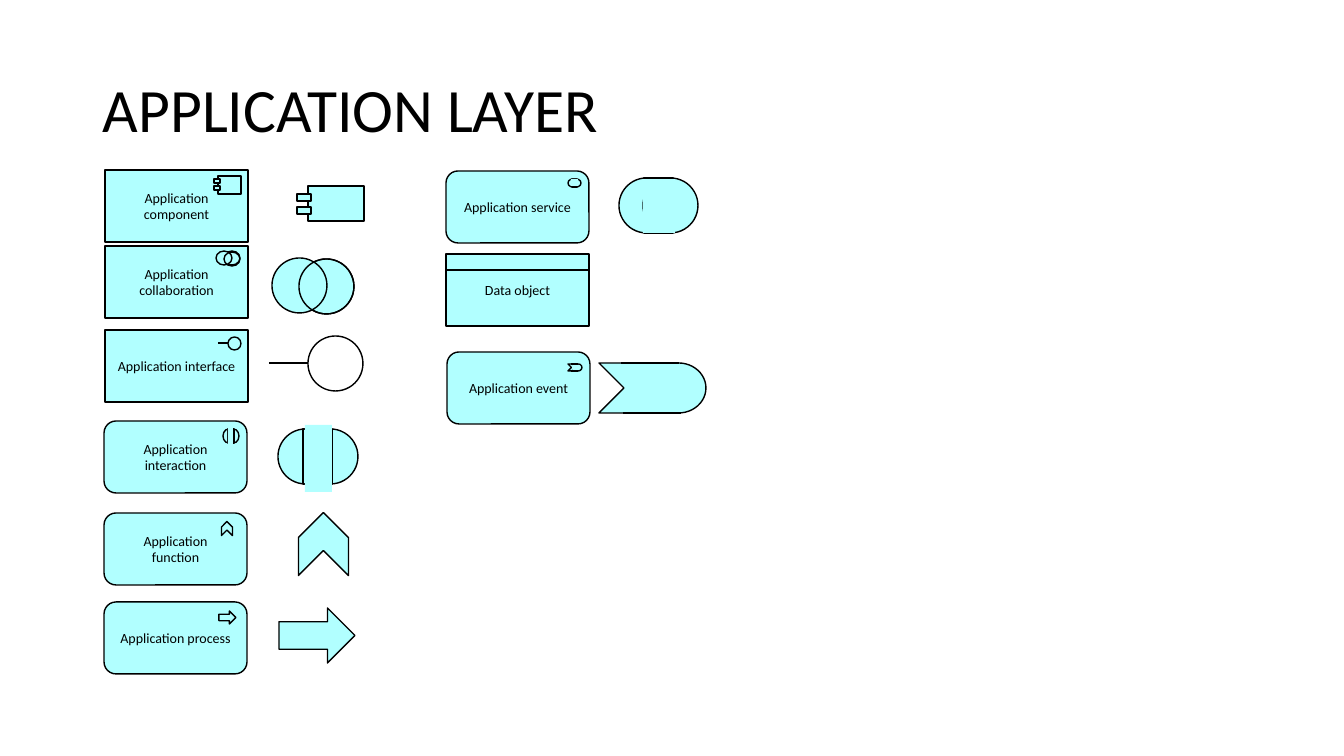
"""Build the application layer slide: labelled element boxes and their symbols."""
from lxml import etree
from pptx import Presentation
from pptx.dml.color import RGBColor
from pptx.enum.shapes import MSO_CONNECTOR, MSO_SHAPE
from pptx.enum.text import MSO_ANCHOR, PP_ALIGN
from pptx.oxml.ns import qn
from pptx.util import Pt

PX = 914400 / 100.8
AQUA = RGBColor(0xB1, 0xFF, 0xFF)
BLACK = RGBColor(0, 0, 0)
FONT = "Calibri"
RECT = MSO_SHAPE.RECTANGLE
ROUND = MSO_SHAPE.ROUNDED_RECTANGLE
OVAL = MSO_SHAPE.OVAL
ARROW = MSO_SHAPE.RIGHT_ARROW
CHEVRON = MSO_SHAPE.CHEVRON
STRAIGHT = MSO_CONNECTOR.STRAIGHT
MIDDLE = MSO_ANCHOR.MIDDLE
CENTER = PP_ALIGN.CENTER
SOLID, HOLLOW, COVER = "solid", "hollow", "cover"
BOX_WIDTH, BOX_HEIGHT, BOX_INSET = 143, 72, 12

ELEMENTS = [
    ("Application component", RECT, 105, 170),
    ("Application collaboration", RECT, 105, 246),
    ("Application interface", RECT, 105, 330),
    ("Application interaction", ROUND, 104, 421),
    ("Application function", ROUND, 104, 513),
    ("Application process", ROUND, 104, 602),
    ("Application service", ROUND, 446, 171),
    ("Data object", RECT, 446, 254),
    ("Application event", ROUND, 447, 352),
]

SYMBOLS = {
    "component": [
        (RECT, 308, 186, 56, 35, SOLID),
        (RECT, 297, 194, 14, 7, SOLID),
        (RECT, 297, 207, 14, 7, SOLID),
        (RECT, 218, 176, 23, 18, SOLID),
        (RECT, 214, 179, 6, 4, SOLID),
        (RECT, 214, 186, 6, 4, SOLID),
    ],
    "collaboration": [
        (OVAL, 299, 259, 55, 55, SOLID),
        (OVAL, 272, 258, 55, 55, SOLID),
        (OVAL, 299, 259, 55, 55, HOLLOW),
        (OVAL, 224, 251, 16, 14, SOLID),
        (OVAL, 216, 251, 16, 14, SOLID),
        (OVAL, 224, 252, 16, 14, HOLLOW),
    ],
    "interface": [
        (OVAL, 308, 336, 55, 55, HOLLOW),
        (OVAL, 228, 337, 13, 13, SOLID),
    ],
    "interaction": [
        (OVAL, 278, 429, 55, 55, SOLID),
        (OVAL, 303, 429, 55, 55, SOLID),
        (RECT, 303, 429, 29, 55, SOLID),
        (RECT, 305, 425, 27, 67, COVER),
        (OVAL, 223, 429, 11, 14, SOLID),
        (OVAL, 228, 429, 11, 14, SOLID),
        (RECT, 228, 429, 6, 14, SOLID),
        (RECT, 228, 428, 5, 17, COVER),
    ],
    "function": [
        (CHEVRON, 292, 519, 63, 50, SOLID),
        (CHEVRON, 220, 523, 14, 11, SOLID),
    ],
    "process": [
        (ARROW, 279, 608, 76, 55, SOLID),
        (ARROW, 219, 611, 17, 13, SOLID),
    ],
    "service": [
        (OVAL, 619, 178, 55, 55, SOLID),
        (OVAL, 643, 178, 55, 55, SOLID),
        (RECT, 644, 178, 29, 55, SOLID),
        (RECT, 643, 179, 32, 54, COVER),
        (OVAL, 568, 179, 9, 8, SOLID),
        (OVAL, 572, 179, 9, 8, SOLID),
        (RECT, 572, 179, 5, 8, SOLID),
        (RECT, 571, 179, 7, 7, COVER),
    ],
    "event": [
        (OVAL, 651, 363, 55, 50, SOLID),
        (CHEVRON, 599, 363, 63, 50, SOLID),
        (RECT, 636, 363, 40, 51, COVER),
        (OVAL, 575, 364, 7, 7, SOLID),
        (CHEVRON, 568, 364, 8, 7, SOLID),
        (RECT, 573, 364, 5, 7, COVER),
    ],
}

RULES = [
    (446, 589, 270),
    (269, 308, 363),
    (218, 228, 343),
    (621, 679, 363),
    (623, 681, 413),
    (571, 578, 364),
    (571, 578, 371),
]


def px(*lengths):
    return [round(length * PX) for length in lengths]


def draw(kind, left, top, width, height, style):
    shape = slide.shapes.add_shape(kind, *px(left, top, width, height))
    shape.shadow.inherit = False
    if style == HOLLOW:
        shape.fill.background()
    else:
        shape.fill.solid()
        shape.fill.fore_color.rgb = AQUA
    if style == COVER:
        shape.line.fill.background()
    else:
        shape.line.color.rgb = BLACK
        shape.line.width = Pt(1)
    return shape


deck = Presentation()
deck.slide_width, deck.slide_height = px(1344, 756)
slide = deck.slides.add_slide(deck.slide_layouts[6])

title = slide.shapes.add_textbox(*px(93, 40, 1159, 146)).text_frame
title.word_wrap = True
title.vertical_anchor = MIDDLE
heading = title.paragraphs[0]
heading.text = "APPLICATION LAYER"
heading.line_spacing = 0.9
heading.font.name = FONT
heading.font.size = Pt(44)
heading.font.color.rgb = BLACK

for name, outline, left, top in ELEMENTS:
    frame = draw(outline, left, top, BOX_WIDTH, BOX_HEIGHT, SOLID).text_frame
    frame.word_wrap = True
    frame.vertical_anchor = MIDDLE
    frame.margin_left, frame.margin_top, frame.margin_right, frame.margin_bottom = px(*[BOX_INSET] * 4)
    label = frame.paragraphs[0]
    label.text = name
    label.alignment = CENTER
    label.space_before = label.space_after = Pt(1)
    label.font.name = FONT
    label.font.size = Pt(10)
    label.font.color.rgb = BLACK

for element, parts in SYMBOLS.items():
    for part in parts:
        piece = draw(*part)
        if element == "function":
            piece.rotation = 270

for start, end, level in RULES:
    rule = slide.shapes.add_connector(STRAIGHT, *px(start, level, end, level))
    rule.line.color.rgb = BLACK
    rule.line.width = Pt(1)
    etree.SubElement(rule._element.spPr, qn("a:effectLst"))

deck.save("out.pptx")
